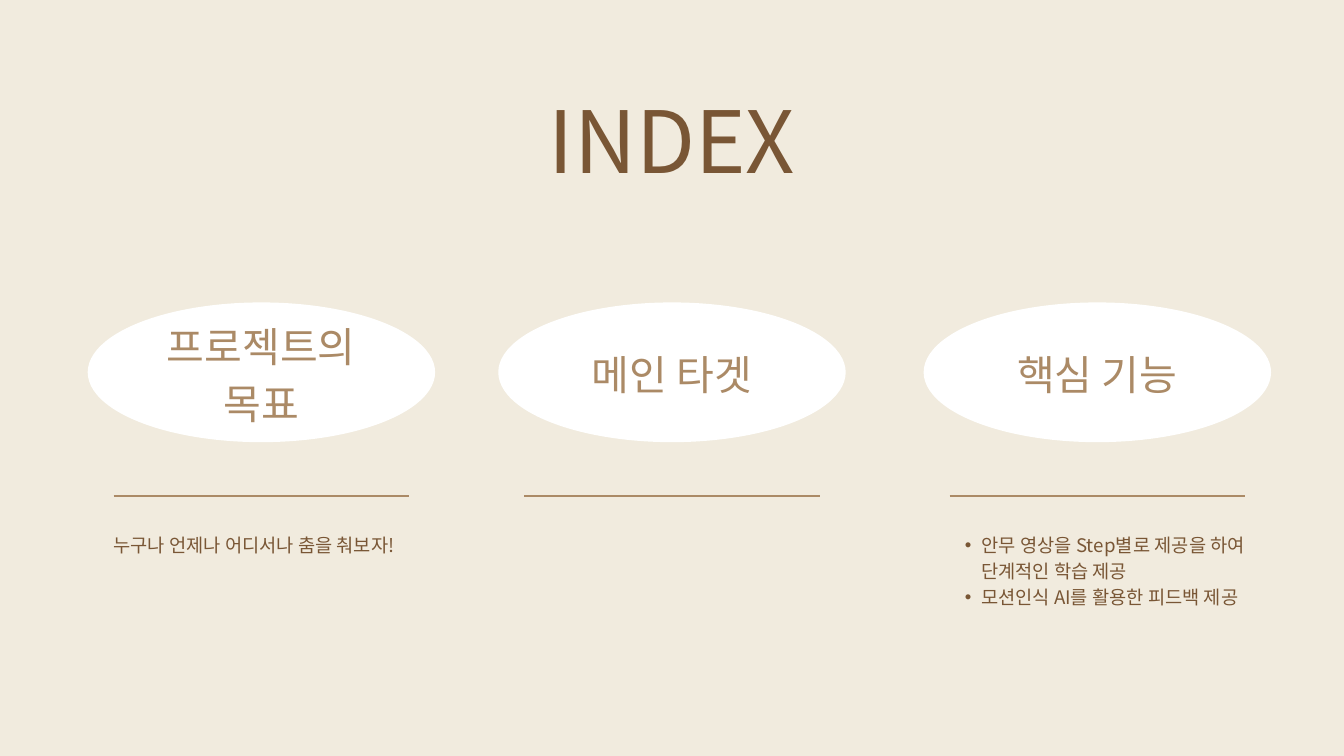
from dataclasses import dataclass

from lxml import etree
from pptx import Presentation
from pptx.dml.color import RGBColor
from pptx.enum.shapes import MSO_CONNECTOR, MSO_SHAPE
from pptx.enum.text import MSO_ANCHOR, MSO_AUTO_SIZE, PP_ALIGN
from pptx.oxml.ns import qn
from pptx.util import Inches, Pt

STRAIGHT = MSO_CONNECTOR.STRAIGHT
OVAL = MSO_SHAPE.OVAL
TOP = MSO_ANCHOR.TOP
NO_AUTOFIT = MSO_AUTO_SIZE.NONE
CENTER, JUSTIFY = PP_ALIGN.CENTER, PP_ALIGN.JUSTIFY


@dataclass(frozen=True)
class TextStyle:
    size: float
    line_spacing: float
    color: RGBColor
    alignment: PP_ALIGN


@dataclass(frozen=True)
class Theme:
    font = "Noto Sans CJK KR"
    background = RGBColor.from_string("F1EBDE")
    oval = RGBColor.from_string("FFFFFF")
    tan = RGBColor.from_string("AB8A66")
    brown = RGBColor.from_string("795635")
    title = TextStyle(92, 128.8, brown, CENTER)
    heading = TextStyle(44, 61.5, tan, CENTER)
    body = TextStyle(20, 28, brown, JUSTIFY)
    rule_width = 1.5


THEME = Theme()
TITLE = "INDEX"
COLUMNS = [
    {"heading": ["프로젝트의", "목표"], "body": ["누구나 언제나 어디서나 춤을 춰보자!"], "bullets": False},
    {"heading": ["메인 타겟"], "body": [], "bullets": False},
    {
        "heading": ["핵심 기능"],
        "body": ["안무 영상을 Step별로 제공을 하여 단계적인 학습 제공", "모션인식 AI를 활용한 피드백 제공"],
        "bullets": True,
    },
]

SLIDE_WIDTH, SLIDE_HEIGHT = 20, 11.25
COLUMN_CENTERS = [3.89, 10, 16.33]
TITLE_TOP, TITLE_WIDTH, TITLE_HEIGHT = 1.05, 5.62, 1.71
OVAL_TOP, OVAL_WIDTH, OVAL_HEIGHT = 4.5, 5.17, 2.08
HEADING_MIDDLE, HEADING_WIDTH, HEADING_LINE = 5.5, 2.87, 0.84
RULE_TOP, COLUMN_WIDTH = 7.38, 4.4
BODY_TOP, BODY_LINE = 7.89, 0.39
BULLET_MARGIN, BULLET_INDENT = 0.47, -0.24


def place(shape, center, top, width, height):
    shape.left, shape.top = Inches(center - width / 2), Inches(top)
    shape.width, shape.height = Inches(width), Inches(height)


def set_bullet(paragraph, visible):
    properties = paragraph._p.get_or_add_pPr()
    properties.set("marL", str(Inches(BULLET_MARGIN) if visible else 0))
    properties.set("indent", str(Inches(BULLET_INDENT) if visible else 0))
    if visible:
        etree.SubElement(properties, qn("a:buFont")).set("typeface", "Arial")
        etree.SubElement(properties, qn("a:buChar")).set("char", "•")
    else:
        etree.SubElement(properties, qn("a:buNone"))


def write(shape, lines, style, bullets=False):
    frame = shape.text_frame
    frame.text = "\n".join(lines)
    frame.word_wrap = True
    frame.auto_size = NO_AUTOFIT
    frame.vertical_anchor = TOP
    frame.margin_left = frame.margin_right = frame.margin_top = frame.margin_bottom = 0
    for paragraph in frame.paragraphs:
        set_bullet(paragraph, bullets)
        paragraph.alignment = style.alignment
        paragraph.line_spacing = Pt(style.line_spacing)
        paragraph.space_before = Pt(0)
        for run in paragraph.runs:
            run.font.size = Pt(style.size)
            run.font.name = THEME.font
            run.font.color.rgb = style.color
            east_asian = etree.Element(qn("a:ea"), typeface=THEME.font)
            run.font._element.find(qn("a:latin")).addnext(east_asian)


def add_oval(slide, center):
    oval = slide.shapes.add_shape(OVAL, 0, 0, 0, 0)
    place(oval, center, OVAL_TOP, OVAL_WIDTH, OVAL_HEIGHT)
    oval.shadow.inherit = False
    oval.fill.solid()
    oval.fill.fore_color.rgb = THEME.oval
    oval.line.fill.background()


def add_rule(slide, center):
    left, right = center - COLUMN_WIDTH / 2, center + COLUMN_WIDTH / 2
    rule = slide.shapes.add_connector(
        STRAIGHT, Inches(left), Inches(RULE_TOP), Inches(right), Inches(RULE_TOP)
    )
    rule.line.color.rgb = THEME.tan
    rule.line.width = Pt(THEME.rule_width)
    etree.SubElement(rule._element.spPr, qn("a:effectLst"))


def add_heading(slide, center, lines):
    height = HEADING_LINE * len(lines)
    heading = slide.shapes.add_textbox(0, 0, 0, 0)
    place(heading, center, HEADING_MIDDLE - height / 2, HEADING_WIDTH, height)
    write(heading, lines, THEME.heading)


def main():
    presentation = Presentation()
    presentation.slide_width = Inches(SLIDE_WIDTH)
    presentation.slide_height = Inches(SLIDE_HEIGHT)
    two_content_layout = presentation.slide_layouts[3]
    slide = presentation.slides.add_slide(two_content_layout)
    slide.background.fill.solid()
    slide.background.fill.fore_color.rgb = THEME.background

    title = slide.shapes.title
    place(title, SLIDE_WIDTH / 2, TITLE_TOP, TITLE_WIDTH, TITLE_HEIGHT)
    write(title, [TITLE], THEME.title)

    bodies = iter([slide.placeholders[1], slide.placeholders[2]])
    for center, column in zip(COLUMN_CENTERS, COLUMNS):
        add_oval(slide, center)
        add_rule(slide, center)
        add_heading(slide, center, column["heading"])
        if column["body"]:
            body = next(bodies)
            rows = 2 * len(column["body"]) if column["bullets"] else 1
            place(body, center, BODY_TOP, COLUMN_WIDTH, BODY_LINE * rows)
            write(body, column["body"], THEME.body, column["bullets"])

    presentation.save("out.pptx")


if __name__ == "__main__":
    main()
